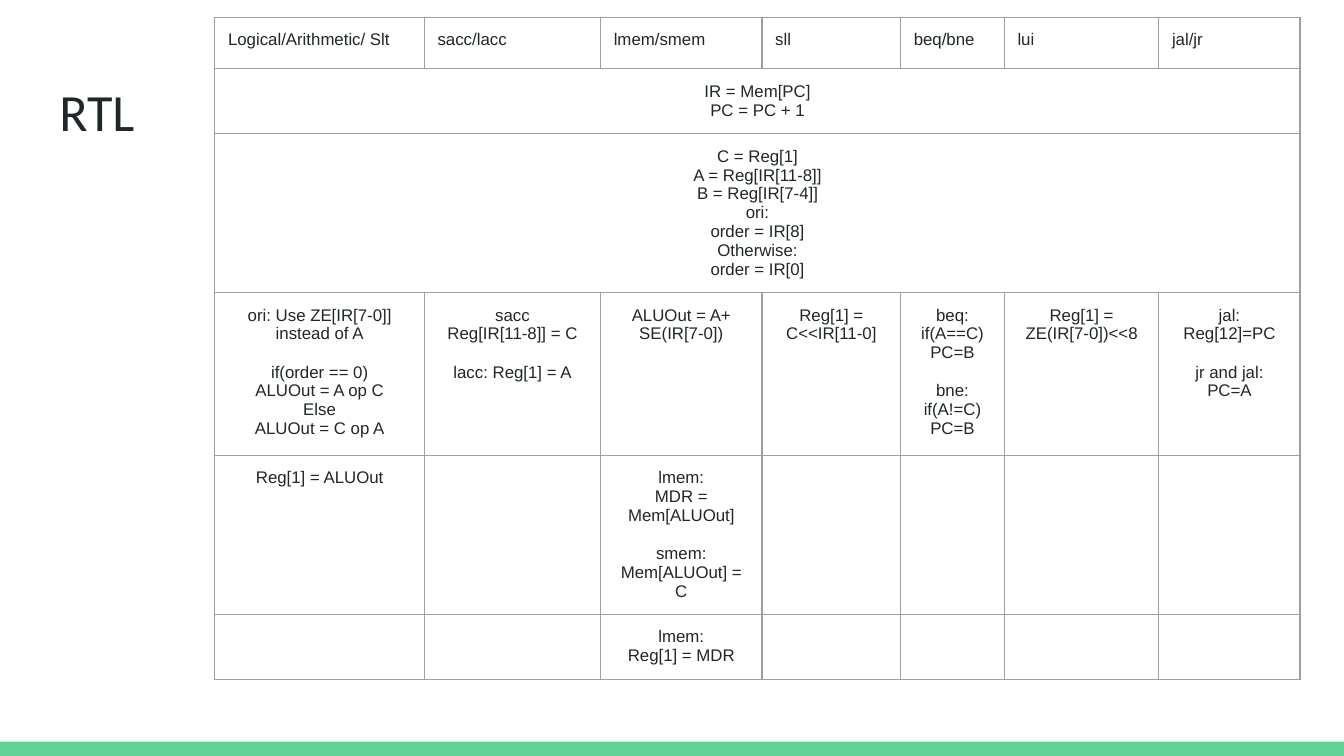
import pptx
import pptx.dml.color
import pptx.enum.shapes
import pptx.enum.text
import pptx.oxml
import pptx.oxml.ns
import pptx.util
from pptx.util import Cm

COLORS = {"ink": "202729", "green": "63D297", "grid": "9E9E9E"}
WIDTHS = [3.96, 3.33, 3.05, 2.62, 1.96, 2.92, 2.67]
HEIGHTS = [0.97, 1.23, 3, 3.08, 3, 1.23]
INSET = Cm(0.25)
SIZE = 9
GAP = 10.35
HEADS = ["Logical/Arithmetic/ Slt", "sacc/lacc", "lmem/smem", "sll",
         "beq/bne", "lui", "jal/jr"]
ROWS = [
    HEADS,
    ["IR = Mem[PC]\nPC = PC + 1"],
    ["C = Reg[1]\nA = Reg[IR[11-8]]\nB = Reg[IR[7-4]]\nori:\n"
     "order = IR[8]\nOtherwise:\norder = IR[0]"],
    ["ori: Use ZE[IR[7-0]] instead of A\n\n"
     "if(order == 0)\nALUOut = A op C\nElse\nALUOut = C op A",
     "sacc\nReg[IR[11-8]] = C\n\nlacc: Reg[1] = A",
     "ALUOut = A+ SE(IR[7-0])",
     "Reg[1] = C<<IR[11-0]",
     "beq:\nif(A==C)\nPC=B\n\nbne:\nif(A!=C)\nPC=B",
     "Reg[1] = ZE(IR[7-0])<<8",
     "jal:\nReg[12]=PC\n\njr and jal:\nPC=A"],
    ["Reg[1] = ALUOut", "",
     "lmem:\nMDR = Mem[ALUOut]\n\nsmem:\nMem[ALUOut] = C", "", "", "", ""],
    ["", "", "lmem:\nReg[1] = MDR", "", "", "", ""],
]


def paint(name):
    """Return the named colour."""
    return pptx.dml.color.RGBColor.from_string(COLORS[name])


def set_font(para, face, size):
    """Set the typeface, size and ink of a paragraph."""
    para.font.name = face
    para.font.size = pptx.util.Pt(size)
    para.font.color.rgb = paint("ink")


def set_inset(box):
    """Give a cell or text frame equal margins."""
    box.margin_left = box.margin_right = INSET
    box.margin_top = box.margin_bottom = INSET


def add_title(slide, text):
    """Place and format the title."""
    title = slide.shapes.title
    title.left, title.top = Cm(0.87), Cm(1.24)
    title.width, title.height = Cm(23.67), Cm(1.6)
    frame = title.text_frame
    frame.text = text
    frame.auto_size = pptx.enum.text.MSO_AUTO_SIZE.NONE
    frame.vertical_anchor = pptx.enum.text.MSO_ANCHOR.TOP
    set_inset(frame)
    para = frame.paragraphs[0]
    para.alignment = pptx.enum.text.PP_ALIGN.LEFT
    set_font(para, "Calibri", 28)


def add_bar(slide):
    """Draw the green strip along the foot of the slide."""
    bar = slide.shapes.add_shape(
        pptx.enum.shapes.MSO_SHAPE.RECTANGLE, 0, Cm(14.02), Cm(25.4), Cm(0.27))
    bar.shadow.inherit = False
    bar.fill.solid()
    bar.fill.fore_color.rgb = paint("green")
    bar.line.fill.background()


def add_edges(cell):
    """Draw a thin line on each side of a cell."""
    props = cell._tc.get_or_add_tcPr()
    for side in "LRTB":
        props.append(pptx.oxml.parse_xml(
            f'<a:ln{side} {pptx.oxml.ns.nsdecls("a")} w="9525"><a:solidFill>'
            f'<a:srgbClr val="{COLORS["grid"]}"/></a:solidFill></a:ln{side}>'))


def fill_cell(cell, text, align):
    """Write lines into a cell, with a gap between blocks."""
    frame = cell.text_frame
    frame.text = text.replace("\n\n", "\n")
    starts, count = set(), 0
    for block in text.split("\n\n"):
        starts.add(count)
        count += len(block.split("\n"))
    for i, para in enumerate(frame.paragraphs):
        para.alignment = align
        set_font(para, "Arial", SIZE)
        if i and i in starts:
            para.space_before = pptx.util.Pt(GAP)


def add_grid(slide):
    """Build the table of register transfers."""
    table = slide.shapes.add_table(
        len(ROWS), len(WIDTHS), Cm(4.06), Cm(0.33),
        Cm(sum(WIDTHS)), Cm(sum(HEIGHTS))).table
    table.first_row = table.horz_banding = False
    for column, width in zip(table.columns, WIDTHS):
        column.width = Cm(width)
    for row, height in zip(table.rows, HEIGHTS):
        row.height = Cm(height)
    for cell in table.iter_cells():
        set_inset(cell)
        add_edges(cell)
        cell.fill.background()
        set_font(cell.text_frame.paragraphs[0], "Arial", SIZE)
    modes = pptx.enum.text.PP_ALIGN
    for r, texts in enumerate(ROWS):
        if len(texts) == 1:
            table.cell(r, 0).merge(table.cell(r, len(WIDTHS) - 1))
        for c, text in enumerate(texts):
            fill_cell(table.cell(r, c), text, modes.CENTER if r else modes.LEFT)


def main():
    """Build and save the slide."""
    deck = pptx.Presentation()
    deck.slide_width, deck.slide_height = Cm(25.4), Cm(14.29)
    slide = deck.slides.add_slide(deck.slide_layouts[5])
    add_bar(slide)
    add_title(slide, "RTL")
    add_grid(slide)
    deck.save("out.pptx")


if __name__ == "__main__":
    main()
